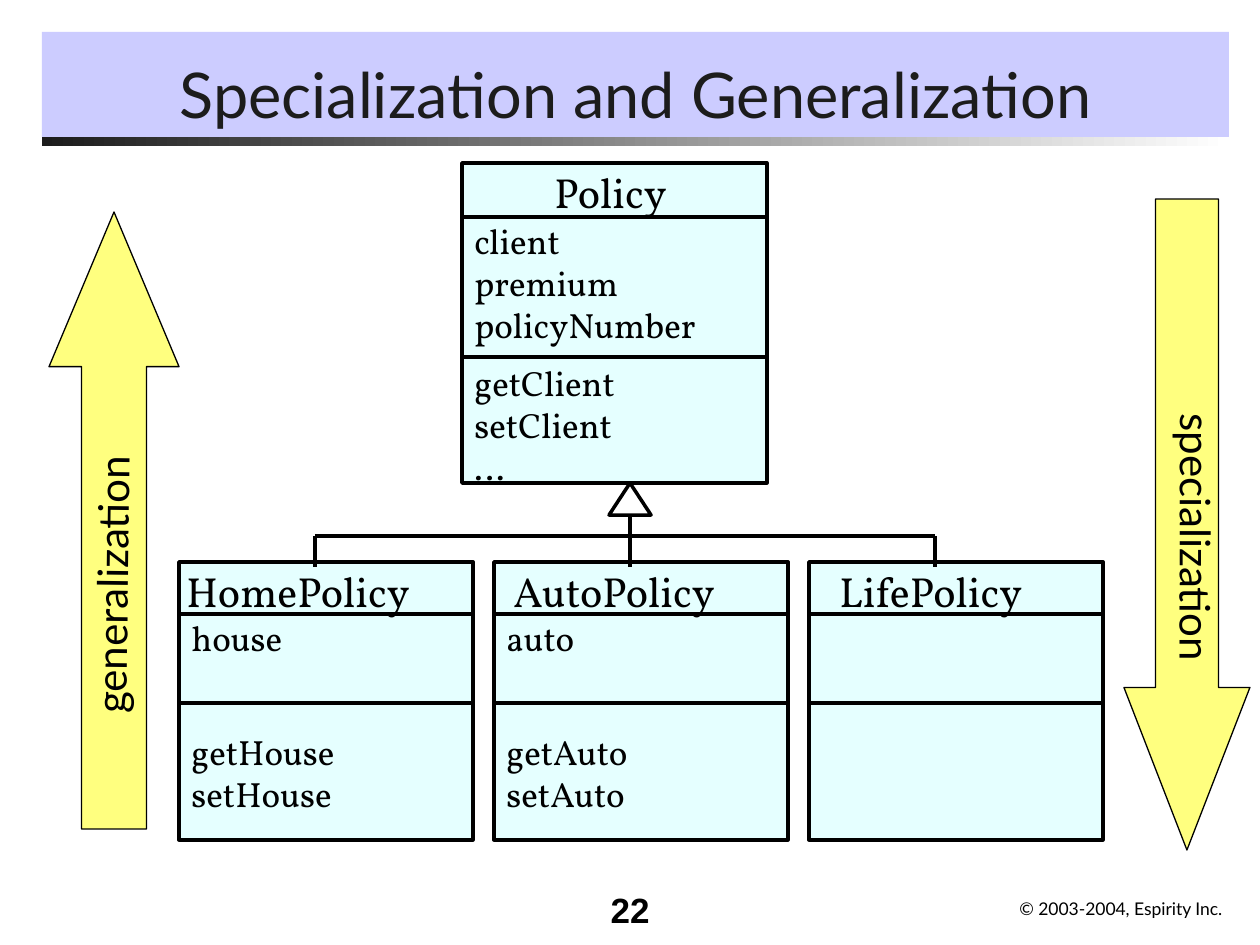
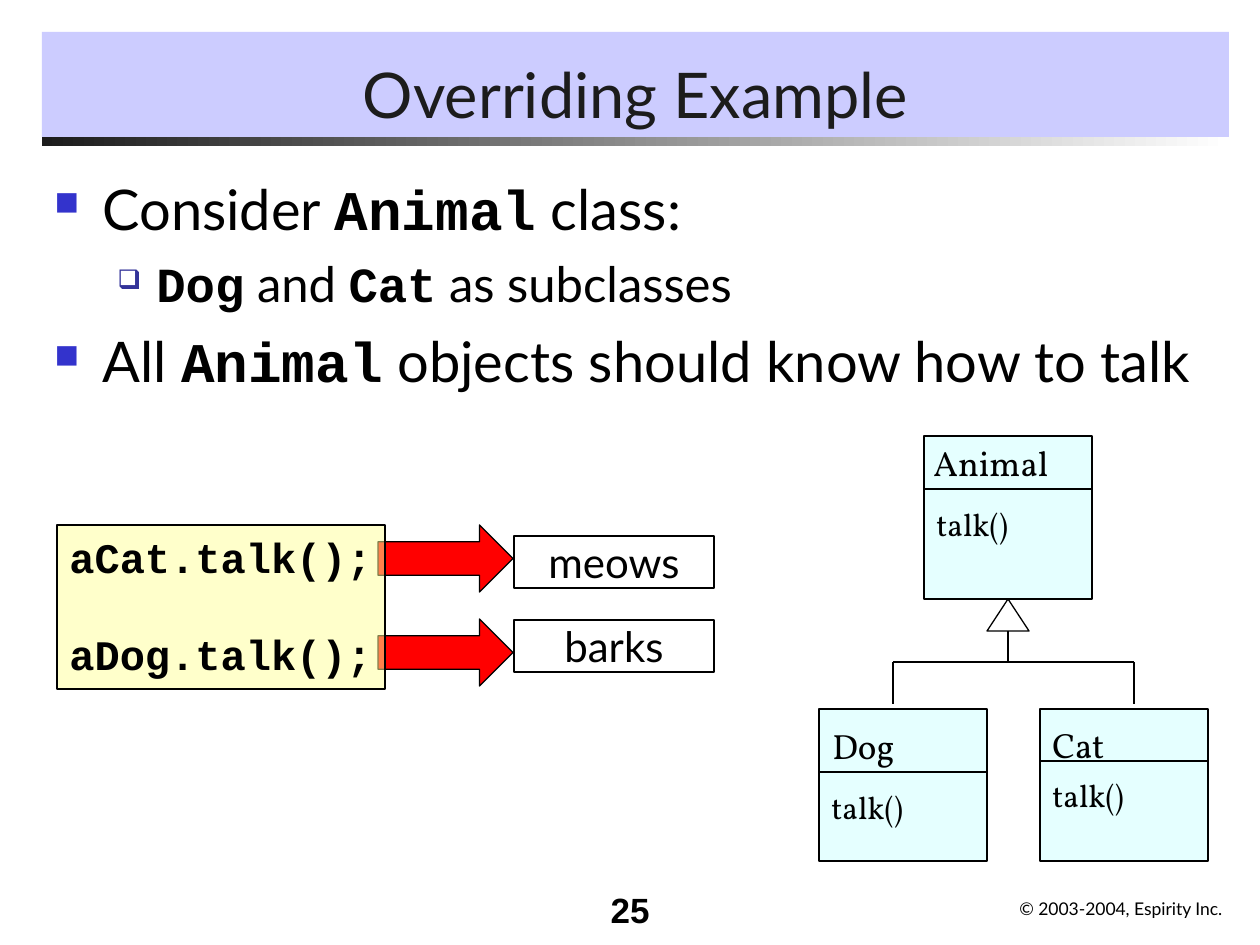
from lxml import etree
from pptx import Presentation
from pptx.dml.color import RGBColor
from pptx.enum.shapes import MSO_CONNECTOR, MSO_SHAPE
from pptx.enum.text import MSO_ANCHOR, PP_ALIGN
from pptx.oxml.ns import qn
from pptx.util import Emu, Pt

RECT, TRIANGLE = MSO_SHAPE.RECTANGLE, MSO_SHAPE.ISOSCELES_TRIANGLE
UP, DOWN, RIGHT = MSO_SHAPE.UP_ARROW, MSO_SHAPE.DOWN_ARROW, MSO_SHAPE.RIGHT_ARROW
TOP, MIDDLE, BOTTOM = MSO_ANCHOR.TOP, MSO_ANCHOR.MIDDLE, MSO_ANCHOR.BOTTOM
ALIGN_LEFT, ALIGN_CENTER, ALIGN_RIGHT = PP_ALIGN.LEFT, PP_ALIGN.CENTER, PP_ALIGN.RIGHT

PX_PER_INCH = 126
SANS, SERIF, CODE, NUMBER = "Lato", "Vollkorn", "Courier New", "Arial"
BLACK, INK, WHITE = "000000", "1C1C1C", "FFFFFF"
BAND, CLASS_FILL, ARROW_FILL = "CCCCFF", "CCFFFF", "FFFF00"
CODE_FILL, CALL_ARROW = "FFFF99", "FF0000"
COPYRIGHT = "© 2003-2004, Espirity Inc."

# Each class: box, y of its rules, name with (left, top, width, size),
# then member groups (top, width, size, lines)
POLICY = dict(box=(462, 163, 305, 320), rules=(217, 357),
              name=("Policy", 542, 160, 145, 24),
              members=[(213, 262, 20, ["client", "premium", "policyNumber"]),
                       (355, 231, 20, ["getClient", "setClient", "…"])])
# name, left and width of the name, attributes, methods
POLICY_KINDS = [
    ("HomePolicy", 174, 265, ["house"], ["getHouse", "setHouse"]),
    ("AutoPolicy", 501, 241, ["auto"], ["getAuto", "setAuto"]),
    ("LifePolicy", 827, 223, [], []),
]
KIND_LEFT, KIND_STEP = 179, 315
ANIMALS = [
    dict(box=(924, 436, 168, 163), rules=(489,), name=("Animal", 921, 435, 147, 20),
         members=[(499, 136, 18, ["talk()"])]),
    dict(box=(819, 709, 168, 152), rules=(772,), name=("Dog", 820, 718, 89, 20),
         members=[(782, 136, 18, ["talk()"])]),
    dict(box=(1040, 709, 168, 152), rules=(761,), name=("Cat", 1040, 717, 78, 20),
         members=[(770, 136, 18, ["talk()"])]),
]
# kind, box, head length, label, label box, rotation of the label
DIRECTIONS = [
    (DOWN, (1124, 199, 126, 651), 1.29, "specialization", (1051, 515, 291, 63), 90.1),
    (UP, (49, 212, 130, 617), 1.19, "generalization", (-42, 541, 307, 63), 270.7),
]
# level, runs of (text, is code)
POINTS = [
    (0, [("Consider ", False), ("Animal", True), (" class:", False)]),
    (1, [("Dog", True), (" and ", False), ("Cat", True), (" as subclasses", False)]),
    (0, [("All ", False), ("Animal", True), (" objects should know how to talk", False)]),
]
# text size, space before, margin, hanging indent, bullet, its colour and percent
LEVELS = [(32, 8, 48, 48, "■", "3333CC", 60), (28, 7, 102, 39, "❑", "333399", 55)]
CALLS = ["aCat.talk();", "aDog.talk();"]
SOUNDS = ["meows", "barks"]


def px(length):
    return Emu(round(length * 914400 / PX_PER_INCH))


def rgb(hex_colour):
    return RGBColor.from_string(hex_colour)


def add_shape(slide, kind, box, fill=None, line=None, alpha=None):
    """Fill and line may be None; line is a width in points, alpha a percent."""
    shape = slide.shapes.add_shape(kind, *map(px, box))
    shape.shadow.inherit = False
    if fill:
        shape.fill.solid()
        shape.fill.fore_color.rgb = rgb(fill)
        if alpha:
            colour = shape.element.spPr.find(".//" + qn("a:srgbClr"))
            etree.SubElement(colour, qn("a:alpha"), val=str(alpha * 1000))
    else:
        shape.fill.background()
    if line:
        shape.line.color.rgb = rgb(BLACK)
        shape.line.width = Pt(line)
    else:
        shape.line.fill.background()
    return shape


def add_line(slide, x1, y1, x2, y2, width):
    line = slide.shapes.add_connector(MSO_CONNECTOR.STRAIGHT, *map(px, (x1, y1, x2, y2)))
    line.line.color.rgb = rgb(BLACK)
    line.line.width = Pt(width)
    etree.SubElement(line.element.spPr, qn("a:effectLst"))


def style_font(font, face, size, bold=False, colour=BLACK):
    font.name, font.size, font.bold = face, Pt(size), bold
    font.color.rgb = rgb(colour)


def write(shape, lines, face, size, bold=False, colour=BLACK, align=ALIGN_LEFT,
          anchor=TOP, wrap=False, gap=0):
    """Fill the shape with one paragraph a line, gap points apart."""
    frame = shape.text_frame
    frame.word_wrap, frame.vertical_anchor = wrap, anchor
    frame.text = "\n".join(lines)
    for index, paragraph in enumerate(frame.paragraphs):
        paragraph.alignment = align
        if index and gap:
            paragraph.space_before = Pt(gap)
        for run in paragraph.runs:
            style_font(run.font, face, size, bold, colour)


def add_text(slide, box, lines, face, size, **style):
    box = slide.shapes.add_textbox(*map(px, box))
    write(box, lines, face, size, **style)
    return box


def add_class(slide, uml, line):
    left, top, width, height = uml["box"]
    add_shape(slide, RECT, uml["box"], CLASS_FILL, line, alpha=50)
    for y in uml["rules"]:
        add_line(slide, left, y, left + width, y, line)
    name, name_left, name_top, name_width, name_size = uml["name"]
    groups = [(name_left, name_top, name_width, name_size, [name], False)]
    groups += [(left, *group, True) for group in uml["members"]]
    for x, y, text_width, size, lines, wrap in groups:
        if lines:
            text_height = 13 + round(2.1 * size * len(lines))
            add_text(slide, (x, y, text_width, text_height), lines, SERIF, size, wrap=wrap)


def add_inheritance(slide, parent, children, bar_y, branch_end, trunk_end, line):
    """Join the children to a triangle whose tip is at parent (x, y)."""
    x, tip = parent
    for child in children:
        add_line(slide, child, bar_y, child, branch_end, line)
    add_line(slide, children[0], bar_y, children[-1], bar_y, line)
    add_line(slide, x, tip + 32, x, trunk_end, line)
    add_shape(slide, TRIANGLE, (x - 21, tip, 42, 32), line=line)


def add_page(deck, title, number):
    slide = deck.slides.add_slide(deck.slide_layouts[6])
    rule = add_shape(slide, RECT, (42, 136, 1187, 10))
    rule.fill.gradient()
    rule.fill.gradient_angle = 180
    for stop, colour in zip(rule.fill.gradient_stops, (WHITE, INK)):
        stop.color.rgb = rgb(colour)
    add_text(slide, (557, 882, 105, 63), [str(number)], NUMBER, 20, bold=True,
             align=ALIGN_RIGHT, wrap=True)
    add_text(slide, (1007, 892, 233, 34), [COPYRIGHT], SANS, 10)
    band = add_shape(slide, RECT, (42, 32, 1187, 105), BAND)
    write(band, [title], SANS, 36, colour=INK, align=ALIGN_CENTER, anchor=BOTTOM, wrap=True)
    return slide


def add_points(slide, box):
    frame = slide.shapes.add_textbox(*map(px, box)).text_frame
    frame.word_wrap = True
    for index, (level, runs) in enumerate(POINTS):
        size, before, margin, hang, bullet, colour, percent = LEVELS[level]
        paragraph = frame.add_paragraph() if index else frame.paragraphs[0]
        paragraph.level = level
        properties = paragraph._p.get_or_add_pPr()
        properties.set("marL", str(px(margin)))
        properties.set("indent", str(-px(hang)))
        bullet_colour = etree.SubElement(properties, qn("a:buClr"))
        etree.SubElement(bullet_colour, qn("a:srgbClr"), val=colour)
        etree.SubElement(properties, qn("a:buSzPct"), val=str(percent * 1000))
        etree.SubElement(properties, qn("a:buChar"), char=bullet)
        if index:
            paragraph.space_before = Pt(before)
        for text, is_code in runs:
            run = paragraph.add_run()
            run.text = text
            style_font(run.font, CODE if is_code else SANS, size, is_code)


def build_specialization(deck):
    slide = add_page(deck, "Specialization and Generalization", 22)
    line = 2
    add_class(slide, POLICY, line)
    for index, (name, name_left, name_width, attributes, methods) in enumerate(POLICY_KINDS):
        left = KIND_LEFT + index * KIND_STEP
        add_class(slide, dict(box=(left, 562, 294, 278), rules=(614, 703),
                              name=(name, name_left, 559, name_width, 24),
                              members=[(610, 223, 20, attributes),
                                       (724, 223, 20, methods)]), line)
    add_inheritance(slide, (630, 483), (315, 935), 536, 567, 567, line)
    for kind, box, head, label, label_box, rotation in DIRECTIONS:
        arrow = add_shape(slide, kind, box, ARROW_FILL, 0.75, alpha=50)
        arrow.adjustments[1] = head
        add_text(slide, label_box, [label], SANS, 24).rotation = rotation


def build_overriding(deck):
    slide = add_page(deck, "Overriding Example", 25)
    line = 0.75
    add_points(slide, (42, 168, 1192, 683))
    for index in range(len(CALLS)):
        add_shape(slide, RIGHT, (378, 525 + 94 * index, 135, 67), CALL_ARROW, line)
    calls = add_shape(slide, RECT, (57, 525, 328, 164), CODE_FILL, line, alpha=50)
    write(calls, CALLS, CODE, 24, bold=True, gap=27)
    for index, sound in enumerate(SOUNDS):
        result = add_shape(slide, RECT, (514, 536 + 84 * index, 200, 52), line=line)
        write(result, [sound], SANS, 24, align=ALIGN_CENTER, anchor=MIDDLE)
    for animal in ANIMALS:
        add_class(slide, animal, line)
    add_inheritance(slide, (1008, 599), (893, 1134), 662, 704, 662, line)


def main():
    deck = Presentation()
    deck.slide_width, deck.slide_height = px(1260), px(945)
    build_specialization(deck)
    build_overriding(deck)
    deck.save("out.pptx")


if __name__ == "__main__":
    main()
